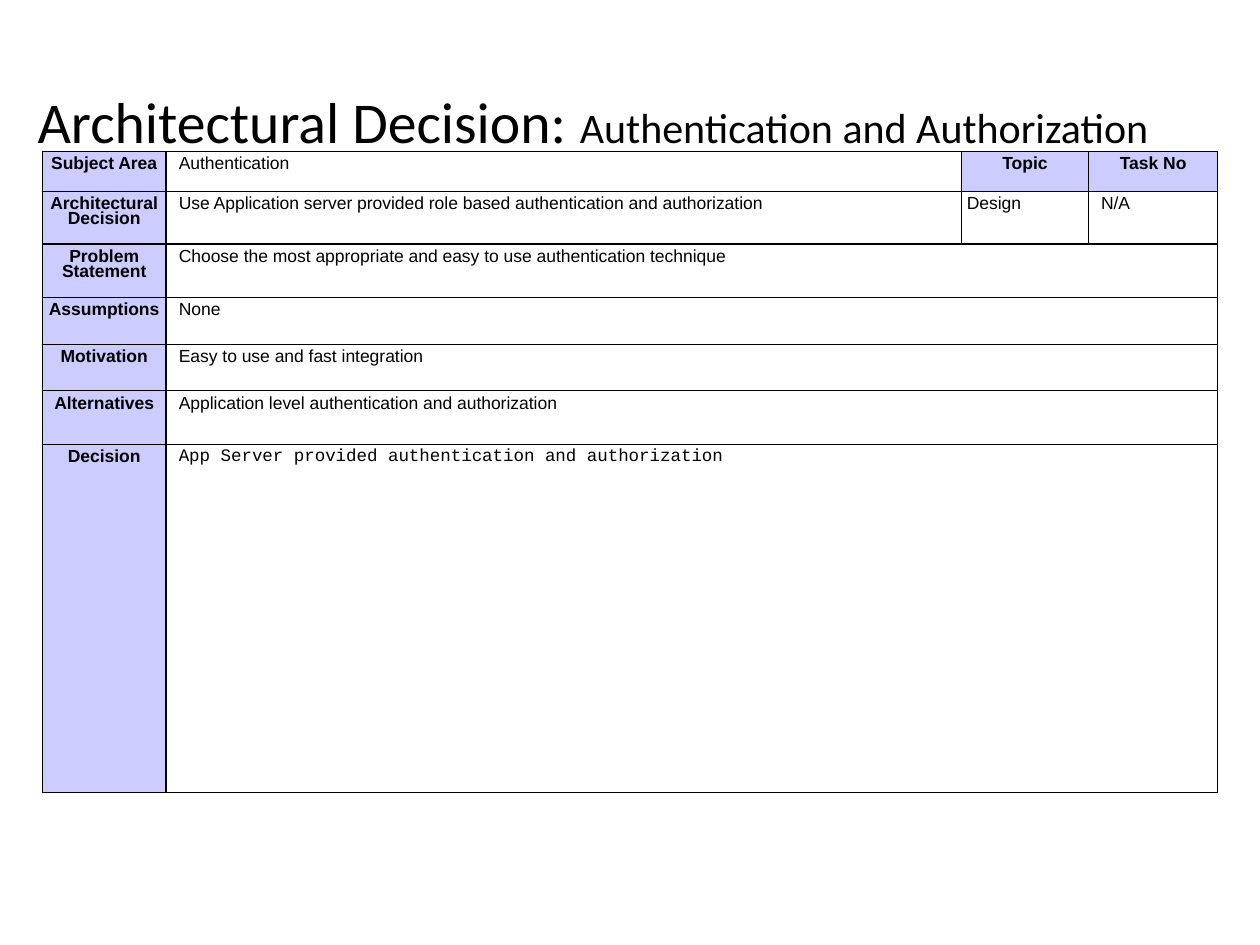
from lxml.etree import SubElement
from pptx import Presentation
from pptx.dml.color import RGBColor
from pptx.enum.text import MSO_ANCHOR, PP_ALIGN
from pptx.oxml.ns import qn
from pptx.util import Pt

# Content
TITLE = [("Architectural Decision: ", 33), ("Authentication and Authorization", 24)]
ROWS = [
    ["Subject Area", "Authentication", "Topic", "Task No"],
    ["Architectural Decision",
     "Use Application server provided role based authentication and authorization",
     "Design", "N/A"],
    ["Problem Statement",
     "Choose the most appropriate and easy to use authentication technique"],
    ["Assumptions", "None"],
    ["Motivation", "Easy to use and fast integration"],
    ["Alternatives", "Application level authentication and authorization"],
    ["Decision", "App Server provided authentication and authorization"],
]
COL_WIDTHS = [71, 454.5, 72.5, 74]
ROW_HEIGHTS = [23, 30.25, 30.25, 27, 26.5, 30.75, 199]
BLACK, LAVENDER = "000000", "CCCCFF"
THIN, THICK = 0.57, 1.42


def rgb(value):
    return RGBColor.from_string(value)


def set_borders(cell, **widths):
    tcPr = cell._tc.get_or_add_tcPr()
    for side in "LRTB":
        ln = SubElement(tcPr, qn("a:ln" + side), w=str(Pt(widths[side])))
        fill = SubElement(ln, qn("a:solidFill"))
        SubElement(fill, qn("a:srgbClr"), val=BLACK)


def is_heading(row, col):
    return col == 0 or (row == 0 and col >= 2)


def fill_cell(cell, text, row, col):
    heading = is_heading(row, col)
    decision = row == len(ROWS) - 1 and not heading
    narrow = heading or text == "Design"
    cell.margin_left = cell.margin_right = Pt(3 if narrow else 7.2)
    cell.margin_top = cell.margin_bottom = Pt(3.6)
    p = cell.text_frame.paragraphs[0]
    p.text = text
    p.alignment = PP_ALIGN.CENTER if heading else PP_ALIGN.LEFT
    p.line_spacing = 0.66 if decision else 0.76
    p.font.name = "Courier New" if decision else "Arial"
    p.font.size = Pt(10)
    p.font.bold = heading
    p.font.color.rgb = rgb(BLACK)


prs = Presentation()
prs.slide_width, prs.slide_height = Pt(720), Pt(540)
s = prs.slides.add_slide(prs.slide_layouts[6])

# Title
tf = s.shapes.add_textbox(Pt(14.4), Pt(46.8), Pt(682.5), Pt(49)).text_frame
tf.word_wrap = True
tf.vertical_anchor = MSO_ANCHOR.MIDDLE
p = tf.paragraphs[0]
p.line_spacing = 0.9
p.font.name = "Calibri"
p.font.color.rgb = rgb(BLACK)
for text, size in TITLE:
    r = p.add_run()
    r.text = text
    r.font.size = Pt(size)

# Decision table
table = s.shapes.add_table(len(ROWS), len(COL_WIDTHS), Pt(24), Pt(86.4),
                           Pt(sum(COL_WIDTHS)), Pt(sum(ROW_HEIGHTS))).table
table.first_row = table.horz_banding = False
for column, width in zip(table.columns, COL_WIDTHS):
    column.width = Pt(width)
for row, height in zip(table.rows, ROW_HEIGHTS):
    row.height = Pt(height)

for i, texts in enumerate(ROWS):
    for j in range(len(COL_WIDTHS)):
        cell = table.cell(i, j)
        # Thick rules right of the labels and below the second row
        set_borders(cell, L=THICK if j == 1 else THIN, R=THICK if j == 0 else THIN,
                    T=THICK if i == 2 else THIN, B=THICK if i == 1 else THIN)
        if is_heading(i, j):
            cell.fill.solid()
            cell.fill.fore_color.rgb = rgb(LAVENDER)
        else:
            cell.fill.background()
    for j, text in enumerate(texts):
        fill_cell(table.cell(i, j), text, i, j)
    if len(texts) == 2:
        table.cell(i, 1).merge(table.cell(i, 3))

prs.save("out.pptx")
